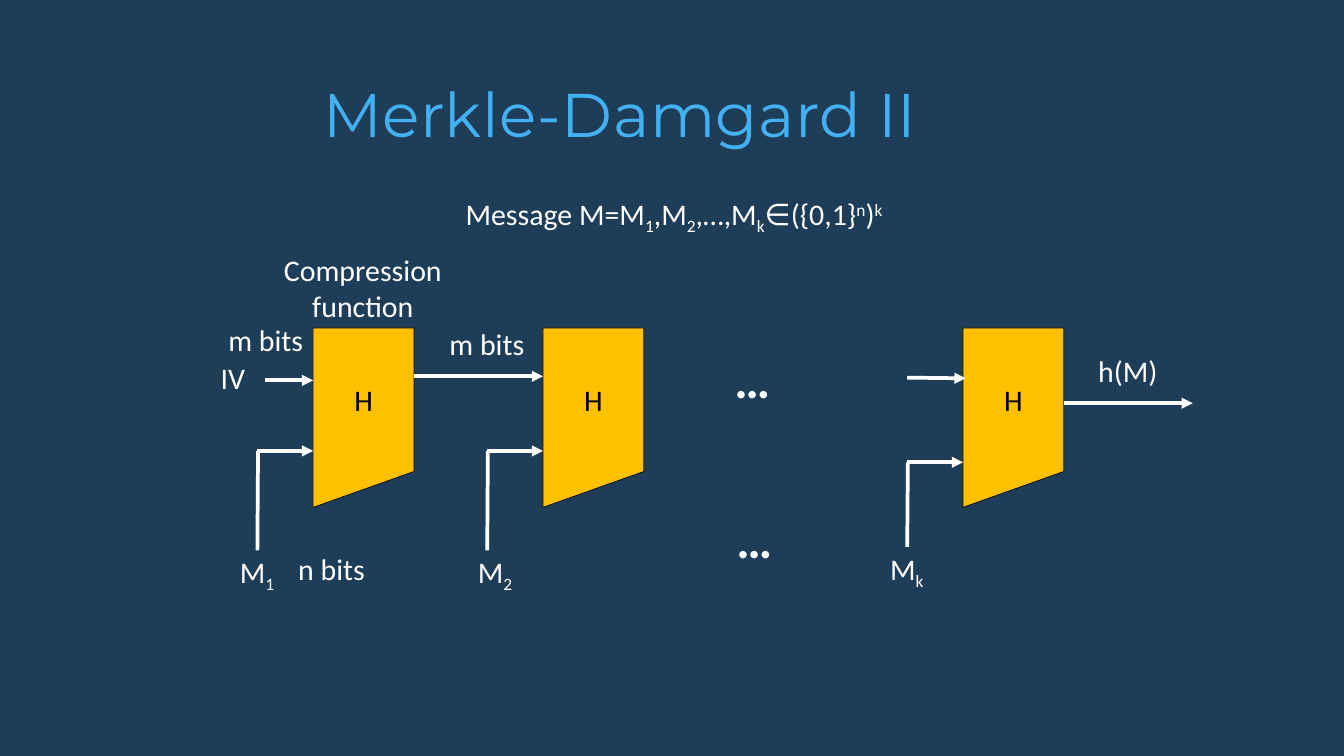
from pptx import Presentation
from pptx.dml.color import RGBColor
from pptx.enum.shapes import MSO_CONNECTOR, MSO_SHAPE
from pptx.enum.text import MSO_ANCHOR, MSO_AUTO_SIZE, PP_ALIGN
from pptx.oxml.ns import qn
from pptx.util import Inches, Pt
from lxml import etree

STRAIGHT = MSO_CONNECTOR.STRAIGHT
MANUAL_INPUT = MSO_SHAPE.FLOWCHART_MANUAL_INPUT
TOP, MIDDLE = MSO_ANCHOR.TOP, MSO_ANCHOR.MIDDLE
LEFT, CENTER = PP_ALIGN.LEFT, PP_ALIGN.CENTER
NO_FIT, GROW = MSO_AUTO_SIZE.NONE, MSO_AUTO_SIZE.SHAPE_TO_FIT_TEXT

THEME = {
    "background": "1E3D58", "title": "43B0F1", "text": "FFFFFF",
    "block": "FFC000", "ink": "000000",
    "title_font": "Montserrat", "font": "Calibri",
    "title_size": 66, "size": 32, "dots_size": 54,
    "arrow": 4, "outline": 0.75,
}
SUB, SUP = -25, 30

# Content: runs are (text, baseline shift in percent)
TITLE = "Merkle-Damgard II"
MESSAGE = [("Message M=M", 0), ("1", SUB), (",M", 0), ("2", SUB), (",…,M", 0),
           ("k", SUB), ("∈({0,1}", 0), ("n", SUP), (")", 0), ("k", SUP)]

# Stages: block left, message index, label left, label top, feed height
STAGES = [
    (4.66, "1", 3.19, 8.19, 6.71),
    (8.08, "2", 6.73, 8.19, 6.71),
    (14.33, "k", 12.86, 8.14, 6.88),
]
BLOCK_TOP, BLOCK_W, BLOCK_H = 4.88, 1.5, 2.67
FEED_RUN = 0.83
LABEL_W, LABEL_H = 1.27, 0.64

# Labels: text, left, top, width, height
LABELS = [
    ("IV", 2.83, 5.3, LABEL_W, LABEL_H),
    ("Compression function", 4.04, 3.7, 2.72, 1.18),
    ("n bits", 4.3, 8.14, LABEL_W, LABEL_H),
    ("m bits", 3.25, 4.74, 1.41, LABEL_H),
    ("m bits", 6.49, 4.79, 1.51, LABEL_H),
    ("h(M)", 16.15, 5.2, LABEL_W, LABEL_H),
]
DOTS = [(10.56, 5.13), (10.59, 7.51)]

# Chaining arrows: start x, start y, end x, end y
CHAIN = [
    (3.95, 5.66, 4.66, 5.66),
    (6.16, 5.6, 8.08, 5.6),
    (13.5, 5.62, 14.37, 5.63),
    (15.83, 6, 17.75, 6),
]


def color(name):
    return RGBColor.from_string(THEME[name])


def add_run(p, text, baseline=0, font="font", size="size", fill="text", bold=False):
    r = p.add_run()
    r.text = text
    r.font.name = THEME[font]
    r.font.size = Pt(THEME[size])
    r.font.bold = bold
    r.font.color.rgb = color(fill)
    if baseline:
        r.font._element.set("baseline", str(baseline * 1000))
    return r


def add_label(s, runs, x, y, w=LABEL_W, h=LABEL_H, align=CENTER, **style):
    tf = s.shapes.add_textbox(Inches(x), Inches(y), Inches(w), Inches(h)).text_frame
    tf.word_wrap = True
    tf.auto_size = GROW
    p = tf.paragraphs[0]
    p.alignment = align
    for text, baseline in runs:
        add_run(p, text, baseline, **style)


def add_line(s, x1, y1, x2, y2, arrow=True):
    c = s.shapes.add_connector(STRAIGHT, Inches(x1), Inches(y1), Inches(x2), Inches(y2))
    c.line.color.rgb = color("text")
    c.line.width = Pt(THEME["arrow"])
    sp_pr = c.element.spPr
    if arrow:
        etree.SubElement(sp_pr.find(qn("a:ln")), qn("a:tailEnd"), type="triangle")
    etree.SubElement(sp_pr, qn("a:effectLst"))


def add_block(s, x):
    """Compression block, turned upside down with its text kept upright."""
    sp = s.shapes.add_shape(MANUAL_INPUT, Inches(x), Inches(BLOCK_TOP),
                            Inches(BLOCK_W), Inches(BLOCK_H))
    sp.rotation = 180
    sp.shadow.inherit = False
    sp.fill.solid()
    sp.fill.fore_color.rgb = color("block")
    sp.line.color.rgb = color("ink")
    sp.line.width = Pt(THEME["outline"])
    tf = sp.text_frame
    tf.word_wrap = False
    tf.vertical_anchor = MIDDLE
    sp.element.txBody.bodyPr.set("rot", str(180 * 60000))
    p = tf.paragraphs[0]
    p.alignment = CENTER
    add_run(p, "H", fill="ink")


def add_title(s):
    sp = s.shapes.title
    sp.left, sp.top, sp.width, sp.height = map(Inches, (4.81, 1.07, 12.81, 1.05))
    tf = sp.text_frame
    tf.margin_left = tf.margin_top = tf.margin_right = tf.margin_bottom = 0
    tf.vertical_anchor = TOP
    tf.auto_size = NO_FIT
    p = tf.paragraphs[0]
    p.alignment = LEFT
    p.line_spacing = Pt(83.2)
    r = add_run(p, TITLE, font="title_font", size="title_size", fill="title")
    r.font._element.set("spc", "60")


def main():
    prs = Presentation()
    prs.slide_width, prs.slide_height = Inches(20), Inches(11.25)
    s = prs.slides.add_slide(prs.slide_layouts[5])
    s.background.fill.solid()
    s.background.fill.fore_color.rgb = color("background")

    add_title(s)
    add_label(s, MESSAGE, 6.83, 2.86, 6.83, align=LEFT)
    for x, index, label_x, label_y, feed_y in STAGES:
        feed_x = x - FEED_RUN
        add_block(s, x)
        add_line(s, feed_x, label_y, feed_x + 0.01, feed_y, arrow=False)
        add_line(s, feed_x, feed_y, x, feed_y)
        add_label(s, [("M", 0), (index, SUB)], label_x, label_y)
    for ends in CHAIN:
        add_line(s, *ends)
    for text, *box in LABELS:
        add_label(s, [(text, 0)], *box)
    for x, y in DOTS:
        add_label(s, [("…", 0)], x, y, h=1.01, size="dots_size", bold=True)

    prs.save("out.pptx")


if __name__ == "__main__":
    main()
